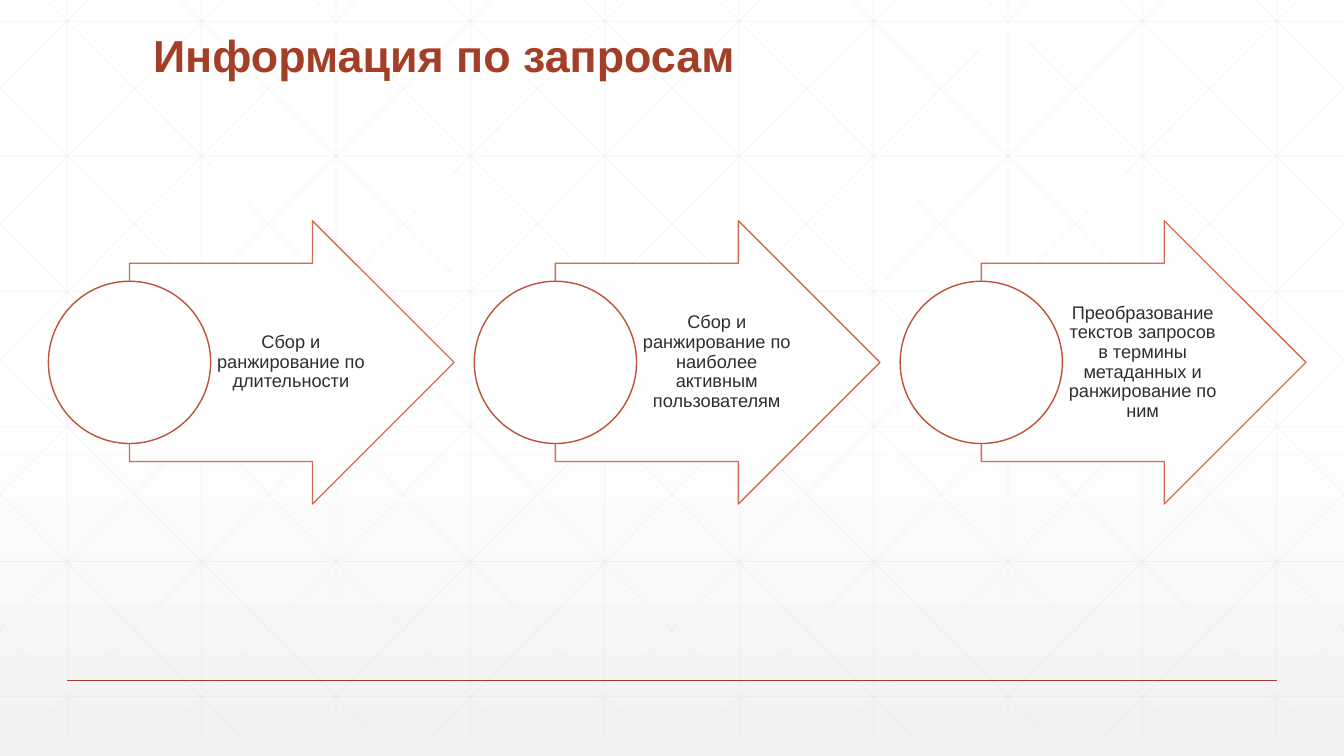
from lxml.etree import SubElement
from pptx import Presentation
from pptx.dml.color import RGBColor
from pptx.enum.shapes import MSO_CONNECTOR, MSO_SHAPE
from pptx.enum.text import MSO_ANCHOR, PP_ALIGN
from pptx.oxml.ns import qn
from pptx.util import Inches, Pt

WIDTH, HEIGHT = 13.333, 7.5
COLUMN, ROW = WIDTH / 10, 1.34
COLORS = {name: RGBColor.from_string(value) for name, value in {
    "white": "FFFFFF", "haze": "F2F2F2", "grid": "D9D9D9", "accent": "A43F27",
    "arrow": "D15A3E", "circle": "BE5238", "ink": "2D2E2D"}.items()}

presentation = Presentation()
presentation.slide_width, presentation.slide_height = Inches(WIDTH), Inches(HEIGHT)
slide = presentation.slides.add_slide(presentation.slide_layouts[6])


def add_text(text, left, top, width, height, *, size, color, bold=False,
             align=PP_ALIGN.LEFT, anchor=MSO_ANCHOR.MIDDLE, insets=(0.1, 0.05, 0.1, 0.05)):
    frame = slide.shapes.add_textbox(*map(Inches, (left, top, width, height))).text_frame
    frame.word_wrap = True
    frame.vertical_anchor = anchor
    (frame.margin_left, frame.margin_top,
     frame.margin_right, frame.margin_bottom) = map(Inches, insets)
    paragraph = frame.paragraphs[0]
    paragraph.alignment, paragraph.line_spacing = align, 0.9
    run = paragraph.add_run()
    run.text = text
    run.font.name, run.font.size, run.font.bold = "Arial", Pt(size), bold
    run.font.color.rgb = COLORS[color]


def set_opacity(shape, percent):
    for color in shape._element.spPr.iter(qn("a:srgbClr")):
        SubElement(color, qn("a:alpha")).set("val", str(percent * 1000))


# Background fading to grey at the bottom
backdrop = slide.background.fill
backdrop.gradient()
backdrop.gradient_angle = 270
for stop, color, position in zip(backdrop.gradient_stops, ("white", "haze"), (0.53, 1)):
    stop.color.rgb, stop.position = COLORS[color], position

# Grid: columns, rows, then diagonals cut at the slide's sides
grid_top, grid_bottom, diagonal_run = -0.21, 7.29, 7.455
slope = (grid_bottom - grid_top) / diagonal_run
grid = [(COLUMN * (i + 0.5), grid_top, COLUMN * (i + 0.5), grid_bottom) for i in range(10)]
grid += [(0, 0.21 + ROW * i, WIDTH, 0.21 + ROW * i) for i in range(6)]
for i in range(-5, 10):
    origin = 0.25 + COLUMN * i
    start, end = max(0, origin), min(WIDTH, origin + diagonal_run)
    start_y, end_y = (grid_top + (x - origin) * slope for x in (start, end))
    grid += [(start, start_y, end, end_y), (WIDTH - start, start_y, WIDTH - end, end_y)]

# Grid lines and the footer rule
footer_rule = (COLUMN / 2, HEIGHT * 0.9, WIDTH - COLUMN / 2, HEIGHT * 0.9)
for ends, color, weight, opacity in [
        *((ends, "grid", 0.5, 25) for ends in grid), (footer_rule, "accent", 1, 100)]:
    line = slide.shapes.add_connector(MSO_CONNECTOR.STRAIGHT, *map(Inches, ends))
    line.line.color.rgb, line.line.width = COLORS[color], Pt(weight)
    set_opacity(line, opacity)
    SubElement(line._element.spPr, qn("a:effectLst"))

# Title
add_text("Информация по запросам", 1.42, 0.25, 10.5, 0.61,
         size=32, color="accent", bold=True, anchor=MSO_ANCHOR.BOTTOM)

# Steps: arrow, caption and circle
steps = ["Сбор и ранжирование по длительности",
         "Сбор и ранжирование по наиболее активным пользователям",
         "Преобразование текстов запросов в термины метаданных и ранжирование по ним"]
step_pitch, diameter, middle = 4.225, 1.61, 3.595
arrow_width, arrow_height, caption_height = 3.22, 2.81, 1.97

for i, caption in enumerate(steps):
    left = 0.48 + step_pitch * i
    arrow_box = (left + diameter / 2, middle - arrow_height / 2, arrow_width, arrow_height)
    circle_box = (left, middle - diameter / 2, diameter, diameter)
    for kind, box, color, opacity in [
            (MSO_SHAPE.RIGHT_ARROW, arrow_box, "arrow", 90),
            (MSO_SHAPE.OVAL, circle_box, "circle", 100)]:
        shape = slide.shapes.add_shape(kind, *map(Inches, box))
        shape.shadow.inherit = False
        shape.fill.solid()
        shape.fill.fore_color.rgb = COLORS["white"]
        shape.line.color.rgb, shape.line.width = COLORS[color], Pt(1)
        set_opacity(shape, opacity)
        if kind == MSO_SHAPE.RIGHT_ARROW:
            shape.adjustments[0], shape.adjustments[1] = 0.7, 0.5
    add_text(caption, left + diameter, middle - caption_height / 2, 1.57, caption_height,
             size=13, color="ink", align=PP_ALIGN.CENTER, insets=(0.04, 0.01, 0.02, 0.01))

presentation.save("out.pptx")
